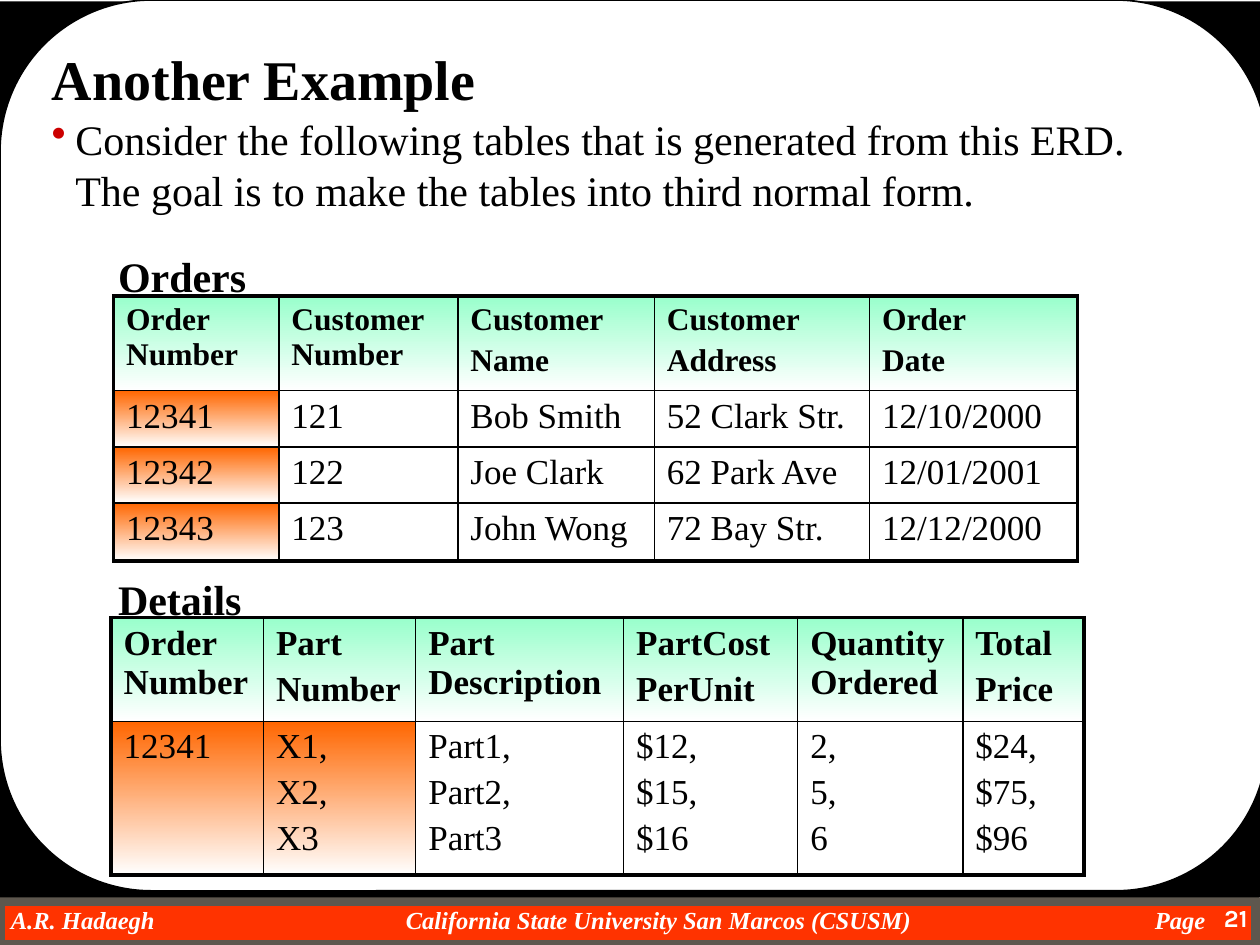
from lxml.etree import SubElement
from pptx import Presentation
from pptx.dml.color import RGBColor
from pptx.enum.shapes import MSO_SHAPE
from pptx.enum.text import MSO_ANCHOR, PP_ALIGN
from pptx.oxml.ns import qn
from pptx.util import Cm, Pt

HUES = {
    "ink": "000000", "paper": "FFFFFF", "bar": "FF3300", "edge": "5E574E",
    "dot": "CC0000", "mint": "99FFCC", "key": "FF6600",
}
SERIF = "Times New Roman"
TITLE = "Another Example"
GOAL = ("Consider the following tables that is generated from this ERD. "
        "The goal is to make the tables into third normal form.")
FOOTER = "A.R. Hadaegh\tCalifornia State University San Marcos (CSUSM)\tPage"
TABS = [("ctr", 13.06), ("r", 24.08)]
TIGHT = ("Part\nDescription", "Quantity\nOrdered")
TABLES = [
    {
        "name": "Orders", "label": 4.93, "at": (2.29, 5.97), "keys": 1, "head": 18,
        "cols": [3.33, 3.61, 3.96, 4.34, 4.19],
        "rows": [1.88, 1.14, 1.12, 1.17],
        "cells": [
            ["Order Number", "Customer Number", "Customer\nName",
             "Customer\nAddress", "Order\nDate"],
            ["12341", "121", "Bob Smith", "52 Clark Str.", "12/10/2000"],
            ["12342", "122", "Joe Clark", "62 Park Ave", "12/01/2001"],
            ["12343", "123", "John Wong", "72 Bay Str.", "12/12/2000"],
        ],
    },
    {
        "name": "Details", "label": 11.43, "at": (2.24, 12.45), "keys": 2, "head": 20,
        "cols": [3.07, 3.07, 4.19, 3.51, 3.33, 2.44],
        "rows": [2.08, 3.1],
        "cells": [
            ["Order Number", "Part\nNumber", "Part\nDescription",
             "PartCost\nPerUnit", "Quantity\nOrdered", "Total\nPrice"],
            ["12341", "X1,\nX2,\nX3", "Part1,\nPart2,\nPart3",
             "$12,\n$15,\n$16", "2,\n5,\n6", "$24,\n$75,\n$96"],
        ],
    },
]


def hue(name):
    return RGBColor.from_string(HUES[name])


def style(obj, **vals):
    for key, val in vals.items():
        setattr(obj, key, val)


def write(frame, text, size, color="ink", gap=0, align=PP_ALIGN.LEFT, **look):
    for num, line in enumerate(text.split("\n")):
        para = frame.add_paragraph() if num else frame.paragraphs[0]
        style(para, alignment=align, space_before=Pt(gap if num else 0))
        run = para.add_run()
        run.text = line
        style(run.font, **{"name": SERIF, "size": Pt(size), **look})
        run.font.color.rgb = hue(color)


def block(slide, kind, box, fill, line=None, width=1):
    shape = slide.shapes.add_shape(kind, *map(Cm, box))
    shape.shadow.inherit = False
    shape.fill.solid()
    shape.fill.fore_color.rgb = hue(fill)
    if line:
        shape.line.color.rgb = hue(line)
        shape.line.width = Pt(width)
    else:
        shape.line.fill.background()
    return shape


def label(slide, box, text, size, wrap=True, **look):
    frame = slide.shapes.add_textbox(*map(Cm, box)).text_frame
    frame.word_wrap = wrap
    write(frame, text, size, **look)
    return frame


def border(cell, side, width):
    line = SubElement(cell._tc.get_or_add_tcPr(), qn("a:ln" + side), w=str(Pt(width)))
    SubElement(SubElement(line, qn("a:solidFill")), qn("a:srgbClr"), val=HUES["ink"])


def shade(cell, name):
    cell.fill.gradient()
    cell.fill.gradient_angle = 270
    for stop, color in zip(cell.fill.gradient_stops, (name, "paper")):
        stop.color.rgb = hue(color)


def grid(slide, data):
    cols, rows = data["cols"], data["rows"]
    box = (*data["at"], sum(cols), sum(rows))
    table = slide.shapes.add_table(len(rows), len(cols), *map(Cm, box)).table
    style(table, first_row=False, horz_banding=False)
    for col, width in zip(table.columns, cols):
        col.width = Cm(width)
    for row, height in zip(table.rows, rows):
        row.height = Cm(height)
    for r, line in enumerate(data["cells"]):
        for c, text in enumerate(line):
            cell = table.cell(r, c)
            outer = {"L": c == 0, "R": c == len(cols) - 1,
                     "T": r == 0, "B": r == len(rows) - 1}
            for side, edge in outer.items():
                border(cell, side, 2.25 if edge else 1)
            if r == 0:
                shade(cell, "mint")
            elif c < data["keys"]:
                shade(cell, "key")
            else:
                cell.fill.background()
            size = 20 if r else data["head"]
            gap = 0 if text in TIGHT else size * 0.2
            write(cell.text_frame, text, size, gap=gap, bold=r == 0)


def frame(slide):
    block(slide, MSO_SHAPE.RECTANGLE, (0, 18.16, 25.32, 0.89), "bar", "edge", 6)
    foot = label(slide, (0, 18.24, 24.59, 0.58), FOOTER, 14,
                 color="paper", bold=True, italic=True)
    style(foot, margin_left=Cm(0.22), margin_right=0, margin_top=0, margin_bottom=0)
    tabs = SubElement(foot.paragraphs[0]._p.get_or_add_pPr(), qn("a:tabLst"))
    for algn, pos in TABS:
        SubElement(tabs, qn("a:tab"), pos=str(Cm(pos)), algn=algn)
    block(slide, MSO_SHAPE.RECTANGLE, (0, 0.03, 25.4, 18.06), "ink")
    panel = block(slide, MSO_SHAPE.ROUNDED_RECTANGLE, (0, 0, 25.55, 17.96),
                  "paper", "ink")
    panel.adjustments[0] = 0.17
    label(slide, (23.5, 18.08, 1.9, 0.97), "21", 14, color="paper",
          align=PP_ALIGN.RIGHT, name="Karla", bold=True)


def intro(slide):
    title = slide.shapes.title
    title.element.getparent().append(title.element)
    spot = dict(left=0.79, top=0.78, width=23.32, height=1.5)
    style(title, **{key: Cm(val) for key, val in spot.items()})
    style(title.text_frame, vertical_anchor=MSO_ANCHOR.TOP, word_wrap=True)
    write(title.text_frame, TITLE, 32, bold=True)
    body = label(slide, (0.79, 2.15, 23.32, 2.3), GOAL, 24)
    para = body.paragraphs[0]
    para.line_spacing = Pt(29.2)
    props = para._p.get_or_add_pPr()
    style_vals = {"marL": Cm(0.48), "indent": Cm(-0.48)}
    for key, val in style_vals.items():
        props.set(key, str(val))
    SubElement(SubElement(props, qn("a:buClr")), qn("a:srgbClr"), val=HUES["dot"])
    SubElement(props, qn("a:buChar"), char="•")


def main():
    deck = Presentation()
    style(deck, slide_width=Cm(25.4), slide_height=Cm(19.05))
    slide = deck.slides.add_slide(deck.slide_layouts[5])
    frame(slide)
    intro(slide)
    for data in TABLES:
        grid(slide, data)
    for data in TABLES:
        label(slide, (2.13, data["label"], 3.1, 1.27), data["name"], 24,
              wrap=False, bold=True)
    deck.save("out.pptx")


if __name__ == "__main__":
    main()
